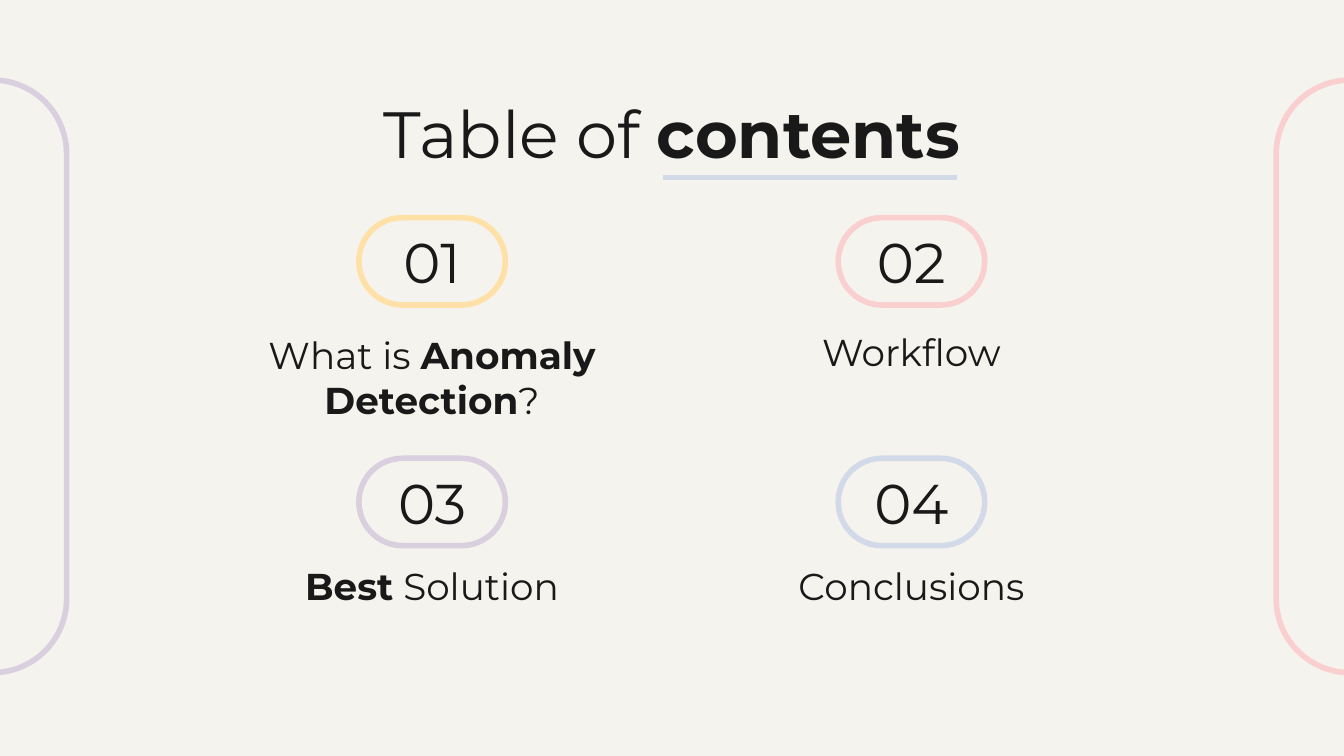
from lxml import etree
from pptx import Presentation
from pptx.dml.color import RGBColor
from pptx.enum.shapes import MSO_CONNECTOR, MSO_SHAPE
from pptx.enum.text import MSO_ANCHOR, MSO_AUTO_SIZE, PP_ALIGN
from pptx.oxml.ns import qn
from pptx.util import Pt

ROUNDED = MSO_SHAPE.ROUNDED_RECTANGLE
STRAIGHT = MSO_CONNECTOR.STRAIGHT
TOP, BOTTOM = MSO_ANCHOR.TOP, MSO_ANCHOR.BOTTOM
CENTER = PP_ALIGN.CENTER
NO_FIT = MSO_AUTO_SIZE.NONE

CREAM = RGBColor(0xF5, 0xF3, 0xED)
INK = RGBColor(0x19, 0x19, 0x19)
LILAC = RGBColor(0xD9, 0xCF, 0xDE)
PINK = RGBColor(0xF9, 0xCF, 0xD0)
YELLOW = RGBColor(0xFF, 0xE0, 0xA7)
BLUE = RGBColor(0xD2, 0xDA, 0xE9)

COLUMNS = (231.5, 488.3)
ROWS = (116.6, 245.5)
PILL_W, PILL_H = 78.5, 46.8
NUMBER_W = 55.4
LABEL_W, LABEL_H = 223.2, 41.8
RAIL_W, RAIL_H = 317.5, 79.2

TOPICS = [
    (YELLOW, 191.5, [("What is ", False), ("Anomaly Detection", True), ("?", False)]),
    (PINK, 165.6, [("Workflow", False)]),
    (LILAC, 290.9, [("Best", True), (" Solution", False)]),
    (BLUE, 290.9, [("Conclusions", False)]),
]


class SlideBuilder:
    """Draws styled elements on one slide, with lengths in points."""

    def __init__(self, slide, font="Montserrat", line_width=3):
        self.s = slide
        self.font = font
        self.line_width = Pt(line_width)
        fill = slide.background.fill
        fill.solid()
        fill.fore_color.rgb = CREAM

    def outline(self, x, y, w, h, color, rotation=0):
        sp = self.s.shapes.add_shape(ROUNDED, Pt(x), Pt(y), Pt(w), Pt(h))
        sp.adjustments[0] = 0.5
        sp.rotation = rotation
        sp.shadow.inherit = False
        sp.fill.background()
        sp.line.color.rgb = color
        sp.line.width = self.line_width

    def rule(self, x1, x2, y, color):
        line = self.s.shapes.add_connector(STRAIGHT, Pt(x1), Pt(y), Pt(x2), Pt(y))
        line.line.color.rgb = color
        line.line.width = self.line_width
        etree.SubElement(line._element.spPr, qn("a:effectLst"))

    def set_runs(self, sp, runs, size, anchor):
        tf = sp.text_frame
        tf.word_wrap = True
        tf.auto_size = NO_FIT
        tf.vertical_anchor = anchor
        tf.margin_left = tf.margin_right = tf.margin_top = tf.margin_bottom = Pt(7.2)
        p = tf.paragraphs[0]
        p.alignment = CENTER
        for text, bold in runs:
            r = p.add_run()
            r.text = text
            r.font.name = self.font
            r.font.size = Pt(size)
            r.font.bold = bold
            r.font.color.rgb = INK

    def title(self, x, y, w, h, runs):
        sp = self.s.shapes.title
        sp.left, sp.top, sp.width, sp.height = Pt(x), Pt(y), Pt(w), Pt(h)
        self.set_runs(sp, runs, 35, TOP)

    def text(self, x, y, w, h, runs, size, anchor):
        sp = self.s.shapes.add_textbox(Pt(x), Pt(y), Pt(w), Pt(h))
        self.set_runs(sp, runs, size, anchor)


def main():
    prs = Presentation()
    prs.slide_width, prs.slide_height = Pt(720), Pt(405)
    b = SlideBuilder(prs.slides.add_slide(prs.slide_layouts[5]))

    for x, color in ((-162.7, LILAC), (564.5, PINK)):
        b.outline(x, 162, RAIL_W, RAIL_H, color, rotation=90)

    b.title(56.5, 42.5, 607, 45.4, [("Table of ", False), ("contents", True)])
    b.rule(355, 512.6, 95.2, BLUE)

    for i, (color, label_y, label) in enumerate(TOPICS):
        cx, y = COLUMNS[i % 2], ROWS[i // 2]
        b.outline(cx - PILL_W / 2, y, PILL_W, PILL_H, color)
        b.text(cx - NUMBER_W / 2, y - 1.8, NUMBER_W, PILL_H,
               [(f"{i + 1:02}", False)], 30, TOP)
        b.text(cx - LABEL_W / 2, label_y, LABEL_W, LABEL_H, label, 20, BOTTOM)

    prs.save("out.pptx")


if __name__ == "__main__":
    main()
